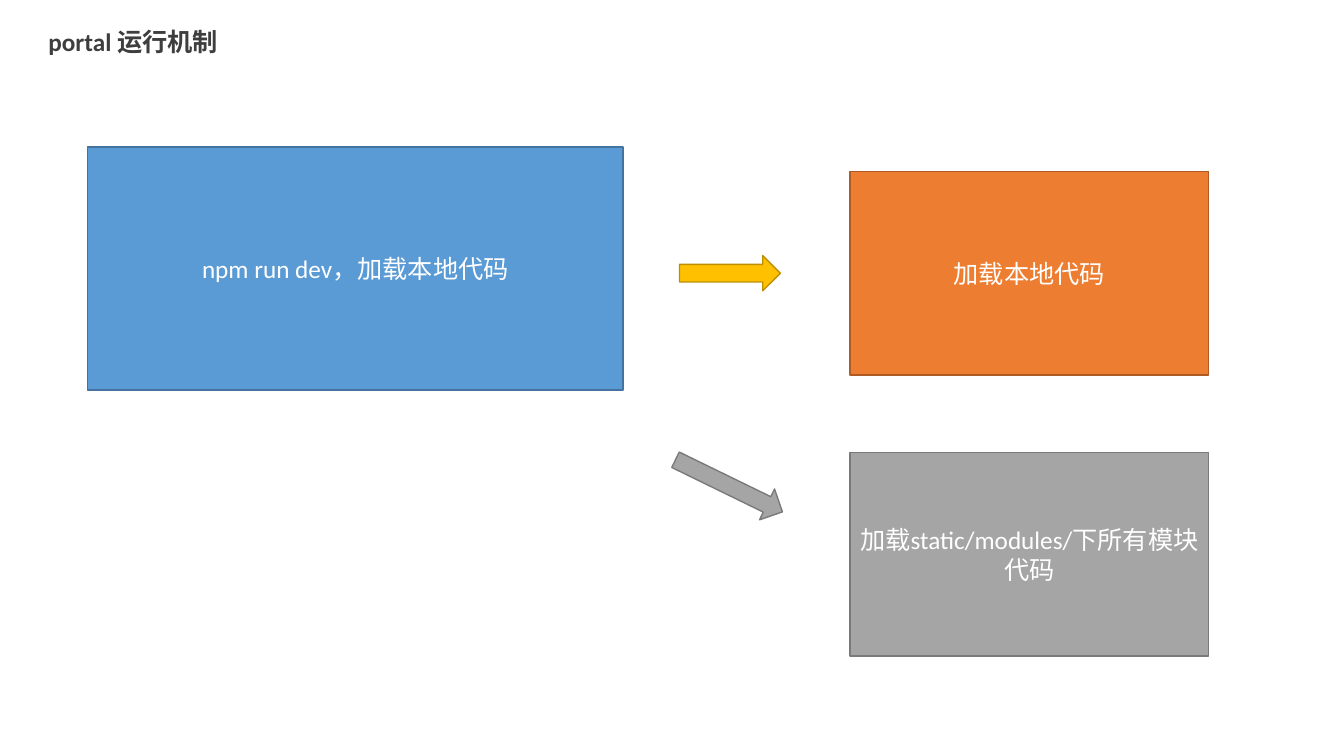
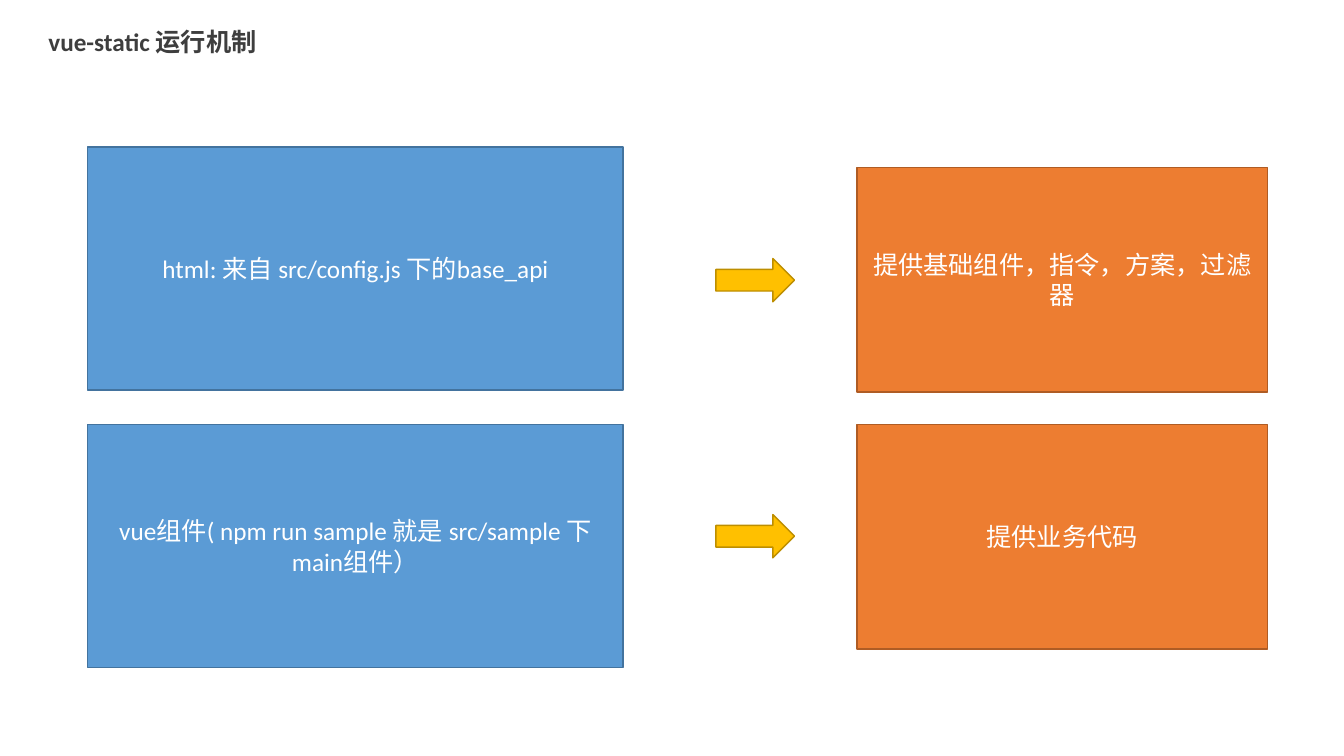
from pptx import Presentation
from pptx.dml.color import RGBColor
from pptx.enum.shapes import MSO_SHAPE
from pptx.enum.text import MSO_ANCHOR, MSO_AUTO_SIZE, PP_ALIGN
from pptx.util import Inches, Pt

# Theme: each colour is a fill and its outline
THEME = {
    "font": "Calibri", "size": 18, "line": 1,
    "title": "3E3E3E", "label": "FFFFFF",
    "blue": ("5B9BD5", "43739E"),
    "orange": ("ED7D31", "AF5C24"),
    "gold": ("FFC000", "BD8E00"),
    "gray": ("A5A5A5", "7A7A7A"),
}

# Columns: left, top, width, height and row pitch, in inches
SOURCE_COLUMN = (0.87, 1.46, 5.31, 2.41, 2.75)
PORTAL_COLUMN = (8.43, 1.7, 3.56, 2.02, 2.79)
STATIC_COLUMN = (8.5, 1.66, 4.07, 2.23, 2.55)

# Content: arrows are centre x, centre y, width, height, rotation, colour
SLIDES = [
    {
        "title": ("portal 运行机制", 2.06),
        "columns": [
            (SOURCE_COLUMN, [("npm run dev，加载本地代码", "blue")]),
            (PORTAL_COLUMN, [("加载本地代码", "orange"),
                             ("加载static/modules/下所有模块代码", "gray")]),
        ],
        "arrows": [(7.24, 2.71, 1, 0.35, 0, "gold"),
                   (7.23, 4.82, 1.18, 0.34, 26, "gray")],
    },
    {
        "title": ("vue-static 运行机制", 2.56),
        "columns": [
            (SOURCE_COLUMN, [
                ("html: 来自 src/config.js 下的base_api", "blue"),
                ("vue组件( npm run sample 就是 src/sample 下 main组件）", "blue")]),
            (STATIC_COLUMN, [("提供基础组件，指令，方案，过滤器", "orange"),
                             ("提供业务代码", "orange")]),
        ],
        "arrows": [(7.49, y, 0.78, 0.43, 0, "gold") for y in (2.78, 5.32)],
    },
]


def write(shape, text, color, align, bold=False, wrap=True):
    frame = shape.text_frame
    frame.word_wrap = wrap
    frame.vertical_anchor = MSO_ANCHOR.MIDDLE
    para = frame.paragraphs[0]
    para.alignment = align
    span = para.add_run()
    span.text = text
    span.font.color.rgb = RGBColor.from_string(color)
    formats = {"name": THEME["font"], "size": Pt(THEME["size"]), "bold": bold}
    for name, value in formats.items():
        setattr(span.font, name, value)


def add_title(page, text, width):
    title = page.shapes.title
    place = {"left": 0.38, "top": 0.21, "width": width, "height": 0.4}
    for name, value in place.items():
        setattr(title, name, Inches(value))
    write(title, text, THEME["title"], PP_ALIGN.LEFT, bold=True, wrap=False)
    title.text_frame.auto_size = MSO_AUTO_SIZE.SHAPE_TO_FIT_TEXT


def add_block(page, kind, place, color):
    block = page.shapes.add_shape(kind, *map(Inches, place))
    block.shadow.inherit = False
    fill, line = THEME[color]
    block.fill.solid()
    block.fill.fore_color.rgb = RGBColor.from_string(fill)
    block.line.color.rgb = RGBColor.from_string(line)
    block.line.width = Pt(THEME["line"])
    return block


def add_column(page, column, cards):
    left, top, width, height, pitch = column
    for row, (text, color) in enumerate(cards):
        place = (left, top + row * pitch, width, height)
        box = add_block(page, MSO_SHAPE.RECTANGLE, place, color)
        write(box, text, THEME["label"], PP_ALIGN.CENTER)


def add_arrow(page, x, y, width, height, rotation, color):
    place = (x - width / 2, y - height / 2, width, height)
    arrow = add_block(page, MSO_SHAPE.RIGHT_ARROW, place, color)
    arrow.rotation = rotation


def main():
    deck = Presentation()
    deck.slide_width, deck.slide_height = Inches(13.33), Inches(7.5)
    for content in SLIDES:
        page = deck.slides.add_slide(deck.slide_layouts.get_by_name("Title Only"))
        add_title(page, *content["title"])
        for column, cards in content["columns"]:
            add_column(page, column, cards)
        for arrow in content["arrows"]:
            add_arrow(page, *arrow)
    deck.save("out.pptx")


if __name__ == "__main__":
    main()
